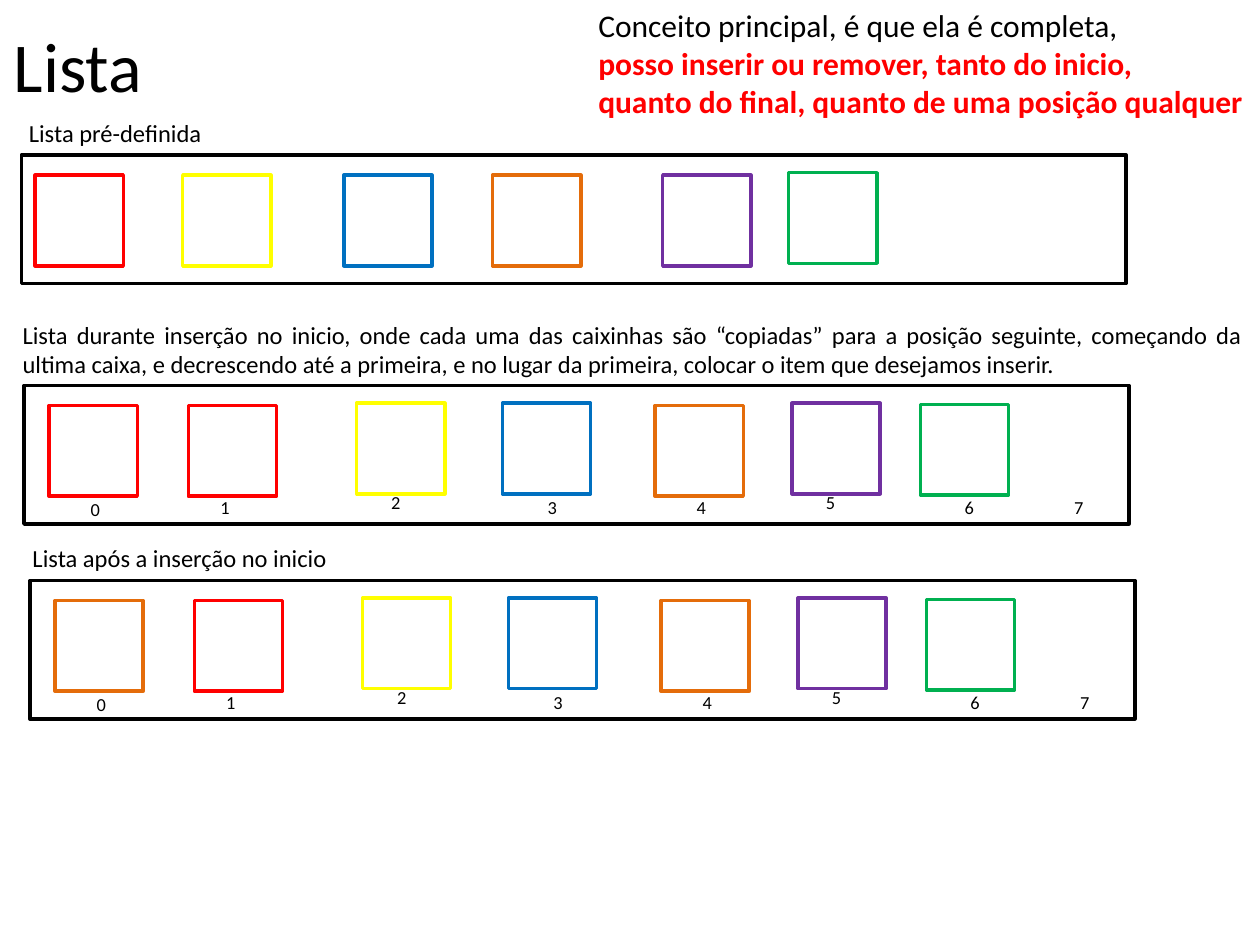
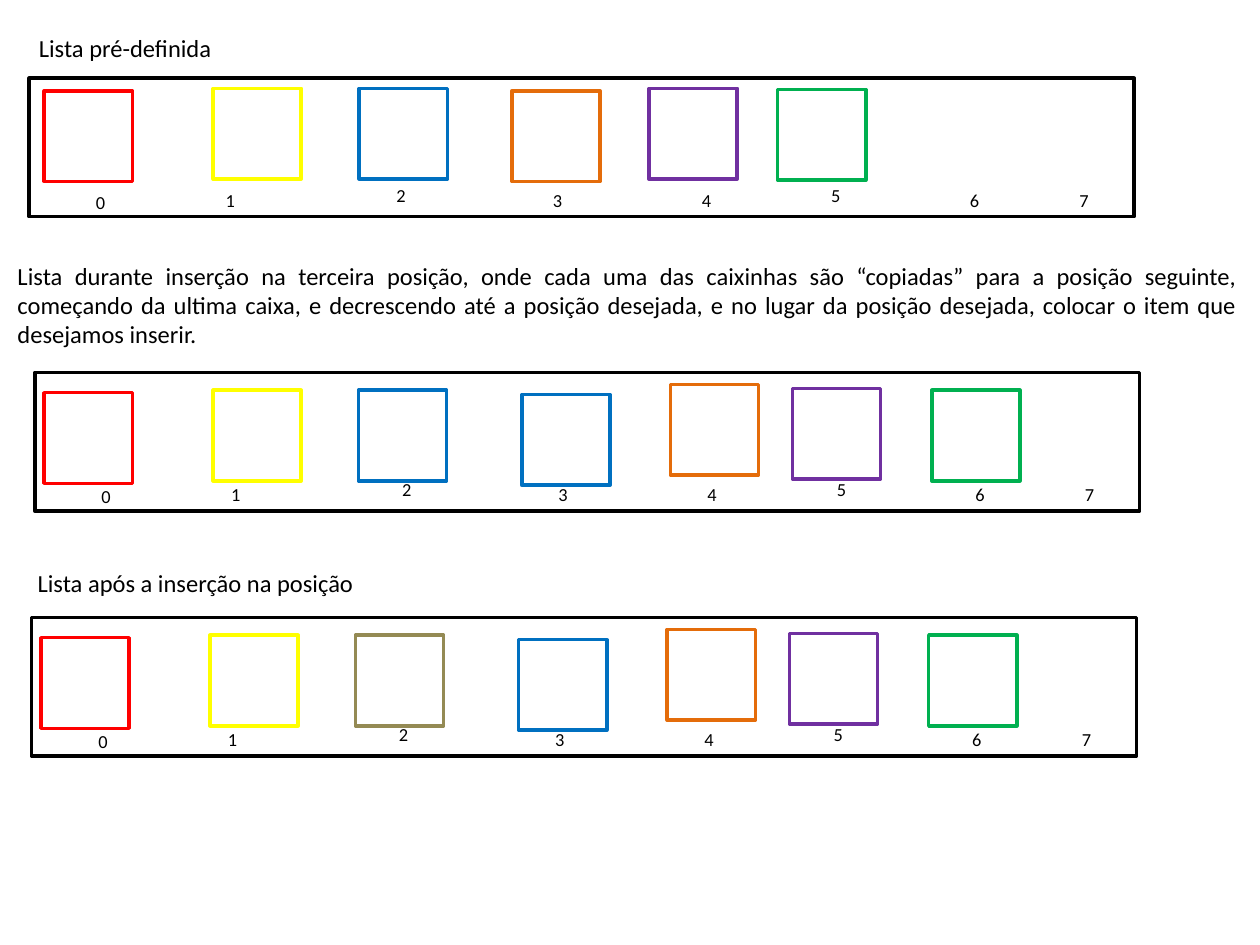
import dataclasses

import pptx
import pptx.dml.color
import pptx.enum.shapes
import pptx.enum.text
import pptx.util

Pt = pptx.util.Pt
ALIGN = pptx.enum.text.PP_ALIGN


@dataclasses.dataclass(frozen=True)
class Theme:
    font: str = "Calibri"
    black: str = "000000"
    red: str = "FF0000"
    yellow: str = "FFFF00"
    blue: str = "0070C0"
    orange: str = "E46C0A"
    purple: str = "7030A0"
    green: str = "00B050"
    tan: str = "948A54"
    title_size: float = 40
    concept_size: float = 18
    caption_size: float = 14
    index_size: float = 10.5
    line_width: float = 2


THEME = Theme()
FRAME_WIDTH = 631.4
FRAME_HEIGHT = 79.2
BOX_WIDTH, BOX_HEIGHT = 50.4, 51.8

# Offsets from the top left corner of the list frame
INDEX_OFFSETS = [(31, 61), (105.1, 59.6), (202.8, 56.9), (292.1, 59.6),
                 (377.3, 59.6), (451.2, 56.9), (530.4, 59.6), (593, 59.6)]
PREDEFINED_OFFSETS = [(7.9, 11.5), (92.2, 11.5), (184.3, 11.5),
                      (269.3, 11.5), (366.5, 11.5), (438.5, 10.1)]
FRONT_OFFSETS = [(14.4, 11.5), (94, 11.5), (190.1, 10.1), (273.4, 10.1),
                 (360.7, 11.5), (438.9, 10.1), (512.3, 10.8)]
INDEXED_OFFSETS = [(8.6, 7.2), (105.1, 5.8), (188.6, 5.8), (275.8, 7.2),
                   (354.2, 5.8), (427.7, 6.5)]
MIDDLE_OFFSETS = [(5.4, 11.5), (101.9, 10.1), (185, 10.1), (278.3, 12.6),
                  (363.2, 6.8), (433, 9), (512.6, 10.1)]

# Box colours of each list state
TAIL = [THEME.orange, THEME.purple, THEME.green]
INITIAL = [THEME.red, THEME.yellow, THEME.blue] + TAIL
FRONT_COPIED = [THEME.red] + INITIAL
FRONT_INSERTED = [THEME.orange] + INITIAL
MIDDLE_COPIED = [THEME.red, THEME.yellow, THEME.blue, THEME.blue] + TAIL
MIDDLE_INSERTED = [THEME.red, THEME.yellow, THEME.tan, THEME.blue] + TAIL


class Deck:
    def __init__(self, theme):
        self.theme = theme
        self.presentation = pptx.Presentation()
        self.presentation.slide_width = Pt(720)
        self.presentation.slide_height = Pt(540)
        self.slide = None

    def add_slide(self, layout_name):
        layout = self.presentation.slide_layouts.get_by_name(layout_name)
        self.slide = self.presentation.slides.add_slide(layout)

    def format_text(self, text_frame, size, align=ALIGN.LEFT, wrap=True):
        text_frame.word_wrap = wrap
        text_frame.auto_size = pptx.enum.text.MSO_AUTO_SIZE.SHAPE_TO_FIT_TEXT
        text_frame.vertical_anchor = pptx.enum.text.MSO_ANCHOR.TOP
        for paragraph in text_frame.paragraphs:
            paragraph.alignment = align
            for run in paragraph.runs:
                run.font.name = self.theme.font
                run.font.size = Pt(size)
                self.color(run.font.color, self.theme.black)

    def color(self, target, value):
        target.rgb = pptx.dml.color.RGBColor.from_string(value)

    def title(self, text, left, top, width, height):
        shape = self.slide.shapes.title
        shape.left, shape.top = Pt(left), Pt(top)
        shape.width, shape.height = Pt(width), Pt(height)
        shape.text_frame.text = text
        self.format_text(shape.text_frame, self.theme.title_size)

    def text(self, text, left, top, width, height, size, **options):
        shape = self.slide.shapes.add_textbox(
            Pt(left), Pt(top), Pt(width), Pt(height))
        shape.text_frame.text = text
        self.format_text(shape.text_frame, size, **options)
        return shape

    def caption(self, text, left, top, width, height=24.2, align=ALIGN.LEFT):
        self.text(text, left, top, width, height, self.theme.caption_size,
                  align=align)

    def rectangle(self, left, top, width, height, line_color):
        shape = self.slide.shapes.add_shape(
            pptx.enum.shapes.MSO_SHAPE.RECTANGLE,
            Pt(left), Pt(top), Pt(width), Pt(height))
        shape.shadow.inherit = False
        shape.fill.background()
        shape.line.width = Pt(self.theme.line_width)
        self.color(shape.line.color, line_color)

    def list_row(self, left, top, colors, offsets, height=FRAME_HEIGHT,
                 indexed=True):
        self.rectangle(left, top, FRAME_WIDTH, height, self.theme.black)
        for color, (across, down) in zip(colors, offsets):
            self.rectangle(left + across, top + down,
                           BOX_WIDTH, BOX_HEIGHT, color)
        if indexed:
            for index, (across, down) in enumerate(INDEX_OFFSETS):
                self.text(str(index), left + across, top + down, 21.6, 20.2,
                          self.theme.index_size)


def front_insertion(deck):
    deck.add_slide("Title Only")
    deck.title("Lista", 0.7, 9.4, 128.9, 55.4)

    # Main concept
    concept = deck.text(
        "Conceito principal, é que ela é completa,\n"
        "posso inserir ou remover, tanto do inicio,\n"
        "quanto do final, quanto de uma posição qualquer",
        334.8, 0, 385.9, 72.7, THEME.concept_size, wrap=False)
    for paragraph in concept.text_frame.paragraphs[1:]:
        for run in paragraph.runs:
            run.font.bold = True
            deck.color(run.font.color, THEME.red)

    # List before, during and after the insertion
    deck.caption("Lista pré-definida", 9.4, 64.1, 146.2)
    deck.list_row(12.2, 88.6, INITIAL, PREDEFINED_OFFSETS,
                  height=73.4, indexed=False)
    deck.caption(
        "Lista durante inserção no inicio, onde cada uma das caixinhas são "
        "“copiadas” para a posição seguinte, começando da ultima caixa, e "
        "decrescendo até a primeira, e no lugar da primeira, colocar o item "
        "que desejamos inserir.", 5.8, 179.3, 711.4, 41, ALIGN.JUSTIFY)
    deck.list_row(13.7, 220.3, FRONT_COPIED, FRONT_OFFSETS)
    deck.caption("Lista após a inserção no inicio", 11.5, 306.7, 191.5,
                 align=ALIGN.JUSTIFY)
    deck.list_row(17.1, 331.7, FRONT_INSERTED, FRONT_OFFSETS)


def middle_insertion(deck):
    deck.add_slide("Blank")

    # List before, during and after the insertion
    deck.caption("Lista pré-definida", 15.1, 15.1, 146.2)
    deck.list_row(16.7, 44.7, INITIAL, INDEXED_OFFSETS)
    deck.caption(
        "Lista durante inserção na terceira posição, onde cada uma das "
        "caixinhas são “copiadas” para a posição seguinte, começando da "
        "ultima caixa, e decrescendo até a posição desejada, e no lugar da "
        "posição desejada, colocar o item que desejamos inserir.",
        2.9, 145.4, 711.4, 58.3, ALIGN.JUSTIFY)
    deck.list_row(19.9, 212.9, MIDDLE_COPIED, MIDDLE_OFFSETS)
    deck.caption("Lista após a inserção na posição", 14.4, 321.1, 241.9,
                 align=ALIGN.JUSTIFY)
    deck.list_row(18.1, 352.9, MIDDLE_INSERTED, MIDDLE_OFFSETS)


def main():
    deck = Deck(THEME)
    front_insertion(deck)
    middle_insertion(deck)
    deck.presentation.save("out.pptx")


if __name__ == "__main__":
    main()
